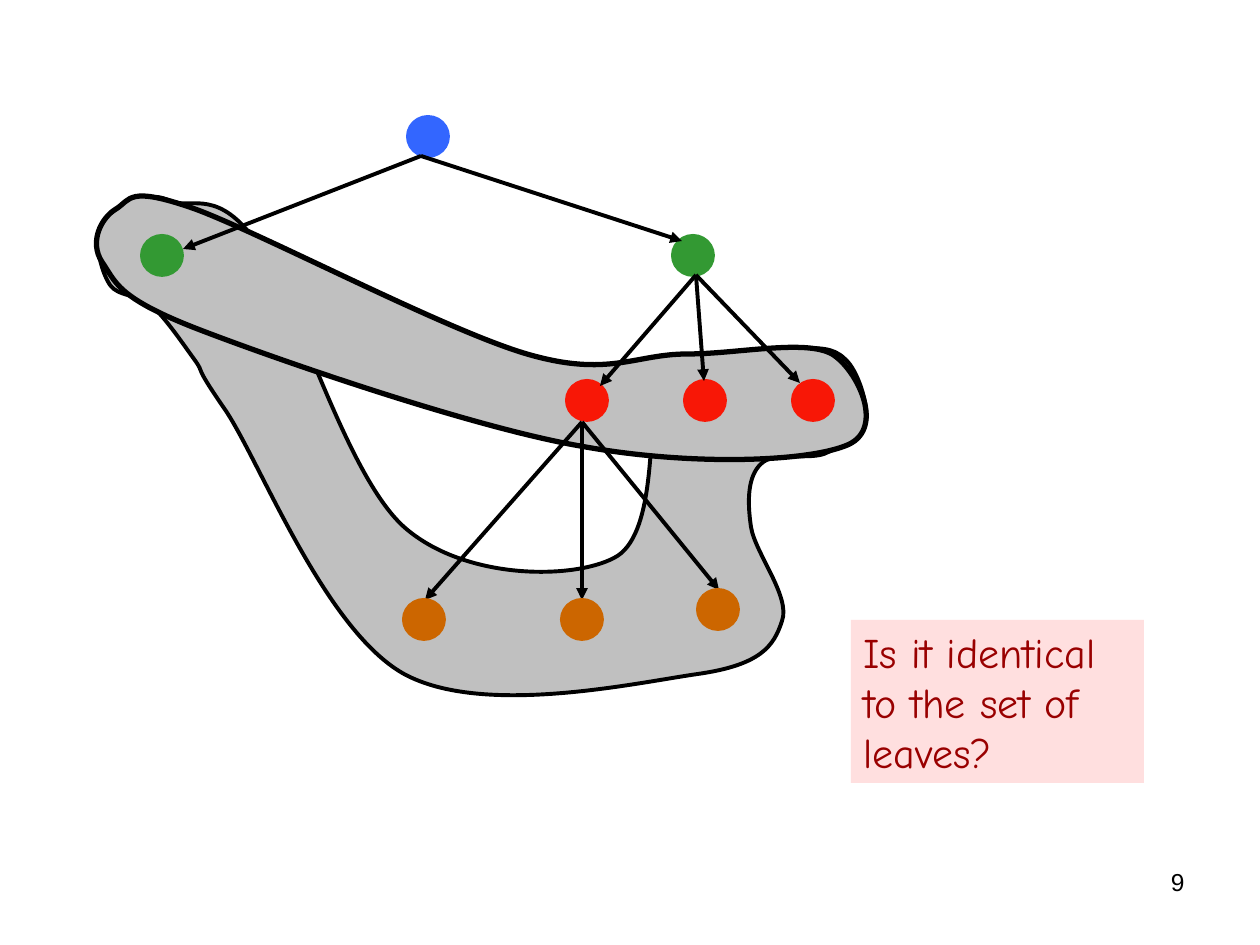
from lxml.etree import SubElement
from pptx import Presentation
from pptx.dml.color import RGBColor
from pptx.enum.shapes import MSO_CONNECTOR as Link, MSO_SHAPE as Kind
from pptx.enum.text import (
    MSO_ANCHOR as Anchor, MSO_AUTO_SIZE as Fit, PP_ALIGN as Align)
from pptx.oxml.ns import qn
from pptx.util import Pt

SCALE = 914400 / 126

BLACK = RGBColor(0x00, 0x00, 0x00)
GRAY = RGBColor(0xC0, 0xC0, 0xC0)
BLUE = RGBColor(0x33, 0x66, 0xFF)
GREEN = RGBColor(0x33, 0x99, 0x33)
RED = RGBColor(0xF8, 0x17, 0x06)
ORANGE = RGBColor(0xCC, 0x66, 0x00)
PINK = RGBColor(0xFF, 0xDF, 0xDF)
MAROON = RGBColor(0x99, 0x00, 0x00)

LOWER = [
    (141, 202), (154, 197), (154, 194), (173, 202),
    (193, 208), (219, 189), (257, 243), (296, 297), (345, 474), (404, 527),
    (464, 580), (572, 580), (614, 558), (656, 537), (648, 432), (656, 401),
    (665, 369), (662, 377), (667, 369), (672, 363), (667, 363), (688, 359),
    (708, 355), (766, 348), (793, 348), (819, 348), (833, 347), (845, 359),
    (858, 370), (869, 406), (866, 422), (863, 437), (842, 446), (824, 454),
    (806, 460), (774, 451), (761, 464), (748, 476), (747, 500), (751, 527),
    (755, 553), (791, 597), (782, 621), (774, 646), (761, 665), (698, 674),
    (635, 683), (483, 717), (404, 674), (325, 630), (261, 464), (226, 411),
    (190, 359), (207, 377), (194, 359), (181, 341), (166, 319), (152, 306),
    (139, 294), (118, 297), (110, 285), (102, 273), (95, 248), (100, 233),
    (105, 217), (130, 207), (141, 202),
]
UPPER = [
    (580, 446), (688, 466), (804, 462), (845, 446),
    (887, 431), (858, 370), (832, 354), (805, 339), (737, 354), (687, 354),
    (635, 354), (609, 378), (527, 354), (445, 330), (263, 234), (195, 209),
    (127, 185), (131, 200), (116, 209), (101, 218), (89, 242), (102, 262),
    (116, 282), (116, 297), (195, 328), (275, 359), (471, 427), (580, 446),
]


def px(*vals):
    return [round(v * SCALE) for v in vals]


def style(shape, fill, edge, width):
    shape.shadow.inherit = False
    shape.fill.solid()
    shape.fill.fore_color.rgb = fill
    shape.line.color.rgb = edge
    shape.line.width = Pt(width)


def bend(shape):
    lines = list(shape._element.iter(qn("a:lnTo")))
    for i in range(0, len(lines), 3):
        first, *rest = lines[i:i + 3]
        first.tag = qn("a:cubicBezTo")
        for line in rest:
            first.append(line[0])
            line.getparent().remove(line)


def blob(shapes, knots, width):
    pen = shapes.build_freeform(*knots[0], scale=SCALE)
    pen.add_line_segments(knots[1:], close=True)
    shape = pen.convert_to_shape()
    bend(shape)
    style(shape, GRAY, BLACK, width)


def dots(shapes, color, *spots):
    for x, y in spots:
        dot = shapes.add_shape(Kind.OVAL, *px(x, y, 40, 39))
        style(dot, color, color, 2.25)


def arrows(shapes, start, *ends):
    for end in ends:
        line = shapes.add_connector(Link.STRAIGHT, *px(*start, *end))
        line.line.color.rgb = BLACK
        line.line.width = Pt(2.25)
        SubElement(line.line._get_or_add_ln(), qn("a:tailEnd"), type="triangle")
        SubElement(line._element.spPr, qn("a:effectLst"))


def label(shape, text, font, size, color, align=Align.LEFT, fit=Fit.NONE):
    frame = shape.text_frame
    frame.word_wrap = True
    frame.auto_size = fit
    frame.vertical_anchor = Anchor.TOP
    para = frame.paragraphs[0]
    para.alignment = align
    run = para.add_run()
    run.text = text
    run.font.name = font
    run.font.size = Pt(size)
    run.font.color.rgb = color


def panel(shapes, box, fill):
    shape = shapes.add_shape(Kind.RECTANGLE, *px(*box))
    shape.shadow.inherit = False
    shape.fill.solid()
    shape.fill.fore_color.rgb = fill
    shape.line.fill.background()
    return shape


def main():
    deck = Presentation()
    deck.slide_width, deck.slide_height = px(1260, 945)
    shapes = deck.slides.add_slide(deck.slide_layouts[6]).shapes

    blob(shapes, LOWER, 2.25)
    blob(shapes, UPPER, 3)

    dots(shapes, BLUE, (408, 117))
    dots(shapes, GREEN, (142, 236), (673, 236))
    arrows(shapes, (421, 156), (183, 249), (682, 241))
    dots(shapes, RED, (567, 381), (685, 381), (793, 381))
    arrows(shapes, (696, 275), (600, 386), (704, 381), (800, 383))

    leaves = shapes.add_group_shape().shapes
    arrows(leaves, (582, 422), (425, 600), (582, 600), (719, 590))
    dots(leaves, ORANGE, (404, 600), (562, 600), (698, 590))

    label(panel(shapes, (851, 620, 293, 163), PINK),
          "Is it identical to the set of leaves?", "Comic Neue", 24, MAROON,
          fit=Fit.SHAPE_TO_FIT_TEXT)
    label(shapes.add_textbox(*px(903, 861, 294, 65)),
          "9", "Arial", 14, BLACK, align=Align.RIGHT)
    deck.save("out.pptx")


if __name__ == "__main__":
    main()
